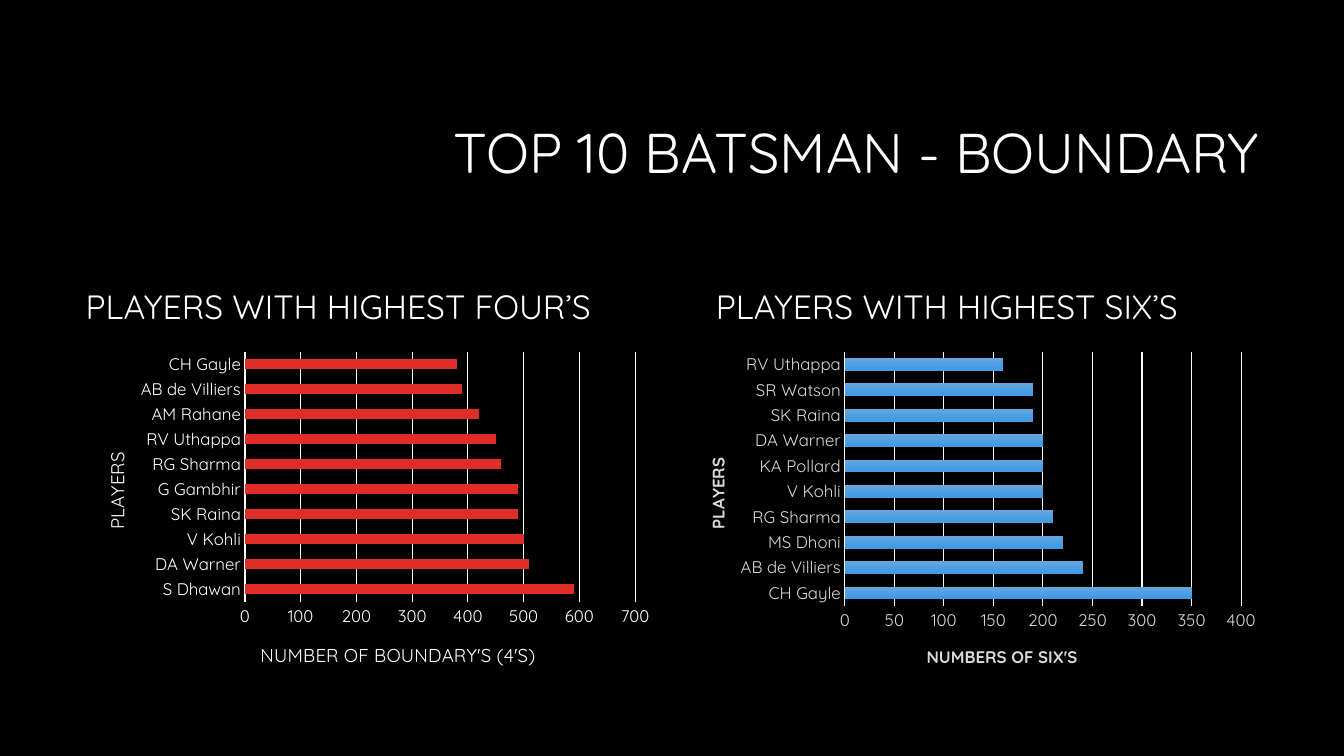
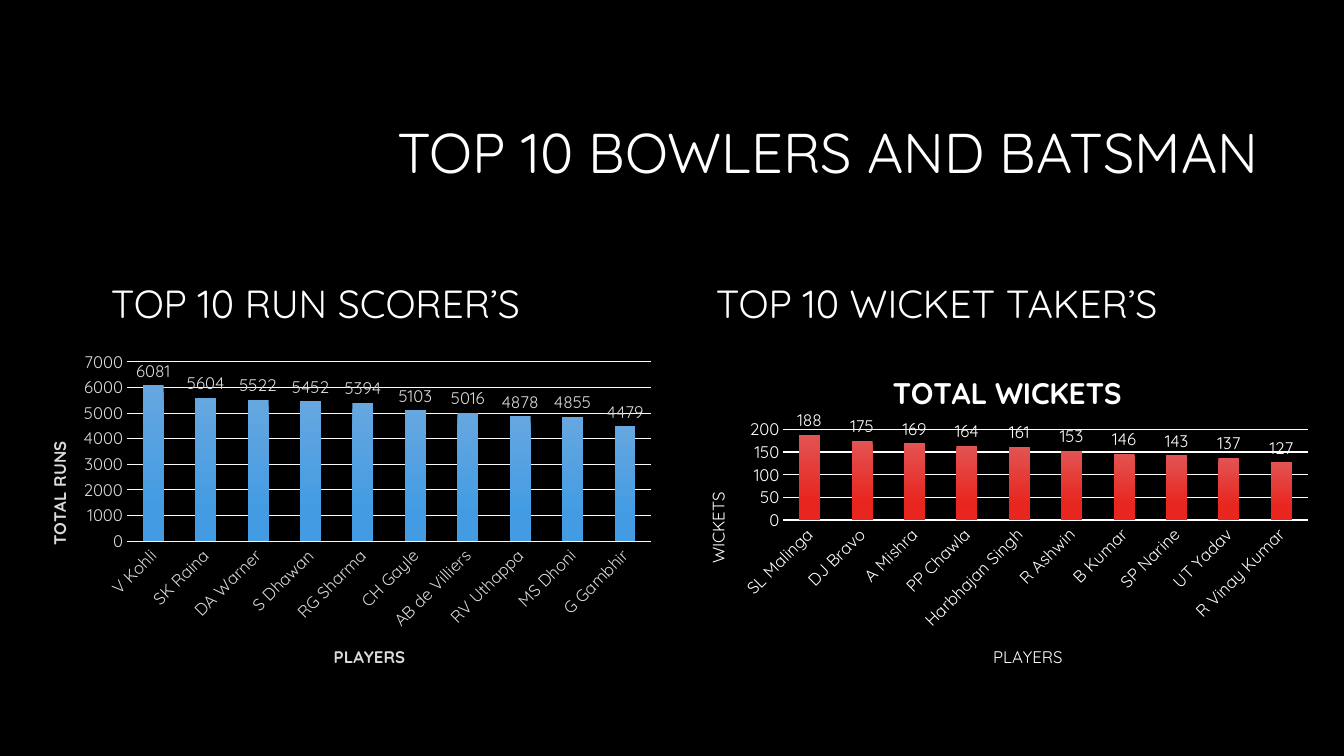
"""Build two slides of cricket rankings, each with a pair of charts."""
from dataclasses import dataclass
from typing import Any, Optional

from lxml.etree import SubElement
from pptx import Presentation
from pptx.chart.chart import Chart
from pptx.chart.data import CategoryChartData
from pptx.dml.color import RGBColor
from pptx.enum.chart import XL_CHART_TYPE as ChartType
from pptx.enum.chart import XL_LABEL_POSITION as LabelPos
from pptx.enum.chart import XL_TICK_MARK as TickMark
from pptx.enum.text import MSO_ANCHOR as Anchor
from pptx.enum.text import PP_ALIGN as Align
from pptx.oxml import parse_xml
from pptx.oxml.ns import nsdecls, qn
from pptx.util import Inches, Pt

Box = tuple[float, float, float, float]
Point = tuple[float, float]


@dataclass(frozen=True)
class Theme:
    font: str = "Quicksand"
    black: str = "000000"
    white: str = "FFFFFF"
    gray: str = "DADADA"
    rule: str = "F9F9F9"
    red: tuple[str, ...] = ("DF2E28",)
    blue_fade: tuple[str, ...] = ("66A7E0", "439CE3")
    red_fade: tuple[str, ...] = ("E25452", "E8251F")
    fade_end: float = 0.78
    title: float = 40
    tick: float = 12
    chart_title: float = 21.3


THEME = Theme()


@dataclass(frozen=True)
class Caption:
    text: str
    at: Point
    bold: bool = False
    size: float = THEME.tick


@dataclass(frozen=True)
class Panel:
    heading: str
    heading_box: Box
    box: Box
    plot: Box
    kind: ChartType
    data: dict[str, int]
    top: int
    step: int
    fill: tuple[str, ...]
    cat_title: Caption
    val_title: Caption
    ink: str = THEME.white
    rule: str = THEME.white
    axis_width: float = 0.75
    gap: int = 150
    title: Optional[Caption] = None


@dataclass(frozen=True)
class Page:
    title: str
    title_box: Box
    heading_size: float
    panels: tuple[Panel, Panel]


PAGES = (
    Page("TOP 10 BATSMAN - BOUNDARY", (0.75, 0.83, 11.84, 1.42), 24, (
        Panel(
            "PLAYERS WITH HIGHEST FOUR’S", (0.75, 2.39, 5.81, 0.9),
            (0.75, 3.43, 5.81, 3.38), (2.43, 3.49, 3.87, 2.48),
            ChartType.BAR_CLUSTERED,
            {"S Dhawan": 590, "DA Warner": 510, "V Kohli": 500,
             "SK Raina": 490, "G Gambhir": 490, "RG Sharma": 460,
             "RV Uthappa": 450, "AM Rahane": 420, "AB de Villiers": 390,
             "CH Gayle": 380},
            700, 100, THEME.red,
            Caption("PLAYERS", (0.99, 4.45), size=13.3),
            Caption("NUMBER OF BOUNDARY'S (4'S)", (2.55, 6.33), size=13.3),
            axis_width=0),
        Panel(
            "PLAYERS WITH HIGHEST SIX’S", (7, 2.39, 5.58, 0.9),
            (6.75, 3.43, 5.83, 3.38), (8.38, 3.49, 3.93, 2.52),
            ChartType.BAR_CLUSTERED,
            {"CH Gayle": 350, "AB de Villiers": 240, "MS Dhoni": 220,
             "RG Sharma": 210, "V Kohli": 200, "KA Pollard": 200,
             "DA Warner": 200, "SK Raina": 190, "SR Watson": 190,
             "RV Uthappa": 160},
            400, 50, THEME.blue_fade,
            Caption("PLAYERS", (6.97, 4.51), True),
            Caption("NUMBERS OF SIX'S", (9.16, 6.37), True),
            ink=THEME.gray, rule=THEME.rule, gap=100),
    )),
    Page("TOP 10 BOWLERS AND BATSMAN", (2.21, 0.83, 10.37, 1.42), 28, (
        Panel(
            "TOP 10 RUN SCORER’S", (1, 2.39, 5.56, 0.9),
            (0.21, 3.43, 6.37, 3.38), (1.26, 3.59, 5.2, 1.78),
            ChartType.COLUMN_CLUSTERED,
            {"V Kohli": 6081, "SK Raina": 5604, "DA Warner": 5522,
             "S Dhawan": 5452, "RG Sharma": 5394, "CH Gayle": 5103,
             "AB de Villiers": 5016, "RV Uthappa": 4878, "MS Dhoni": 4855,
             "G Gambhir": 4479},
            7000, 1000, THEME.blue_fade,
            Caption("PLAYERS", (3.28, 6.37), True),
            Caption("TOTAL RUNS", (0.44, 4.35), True),
            ink=THEME.gray, rule=THEME.rule),
        Panel(
            "TOP 10 WICKET TAKER’S", (7, 2.39, 5.58, 0.9),
            (6.75, 3.43, 6.35, 3.38), (7.77, 4.26, 5.2, 0.9),
            ChartType.COLUMN_CLUSTERED,
            {"SL Malinga": 188, "DJ Bravo": 175, "A Mishra": 169,
             "PP Chawla": 164, "Harbhajan Singh": 161, "R Ashwin": 153,
             "B Kumar": 146, "SP Narine": 143, "UT Yadav": 137,
             "R Vinay Kumar": 127},
            200, 50, THEME.red_fade,
            Caption("PLAYERS", (9.82, 6.37)),
            Caption("WICKETS", (6.97, 4.85)),
            axis_width=1,
            title=Caption("TOTAL WICKETS", (8.8, 3.63), True,
                          THEME.chart_title)),
    )),
)


def assign(obj: Any, values: dict[str, Any]) -> None:
    """Set each named attribute of an object."""
    for name, value in values.items():
        setattr(obj, name, value)


def style(font: Any, size: float, color: str, bold: bool = False) -> None:
    """Format a font in the theme typeface."""
    assign(font, {"name": THEME.font, "size": Pt(size), "bold": bold})
    font.color.rgb = RGBColor.from_string(color)


def fill_placeholder(sp: Any, text: str, box: Box, size: float,
                     align: Align, anchor: Anchor) -> None:
    """Move a placeholder and write its one line of text."""
    assign(sp, dict(zip(("left", "top", "width", "height"), map(Inches, box))))
    tf = sp.text_frame
    assign(tf, {"text": text, "word_wrap": True, "vertical_anchor": anchor})
    p = tf.paragraphs[0]
    assign(p, {"alignment": align, "line_spacing": 0.9, "space_before": Pt(0)})
    style(p.runs[0].font, size, THEME.white)


def set_layout(el: Any, index: int, frame: Box, at: tuple[float, ...]) -> None:
    """Give a chart part a fixed place, from slide inches."""
    for old in el.findall(qn("c:layout")):
        el.remove(old)
    layout = parse_xml(f"<c:layout {nsdecls('c')}><c:manualLayout/></c:layout>")
    left, top, width, height = frame
    shares = {"x": (at[0] - left) / width, "y": (at[1] - top) / height}
    values: dict[str, Any] = {"xMode": "edge", "yMode": "edge"}
    if len(at) == 4:
        values = {"layoutTarget": "inner", **values}
        shares.update(w=at[2] / width, h=at[3] / height)
    for tag, value in {**values, **shares}.items():
        SubElement(layout[0], qn(f"c:{tag}")).set("val", str(value))
    el.insert(index, layout)


def write_caption(title: Any, caption: Caption, panel: Panel,
                  upright: bool = False) -> None:
    """Write and place the title of a chart or an axis."""
    tf = title.text_frame
    tf.text = caption.text
    style(tf.paragraphs[0].runs[0].font, caption.size, panel.ink, caption.bold)
    body = title.element.find(f".//{qn('a:bodyPr')}")
    body.set("rot", "-5400000" if upright else "0")
    body.set("vert", "horz")
    set_layout(title.element, 1, panel.box, caption.at)


def format_axes(chart: Chart, panel: Panel) -> None:
    """Format both axes, their titles and the gridlines."""
    cat, val = chart.category_axis, chart.value_axis
    is_bar = panel.kind == ChartType.BAR_CLUSTERED
    assign(val, {"minimum_scale": 0, "maximum_scale": panel.top,
                 "major_unit": panel.step, "has_major_gridlines": True})
    rule = RGBColor.from_string(panel.rule)
    grid = val.major_gridlines.format.line
    grid.width = Pt(0.75)
    grid.color.rgb = rule
    for axis, caption, upright, width in (
            (cat, panel.cat_title, is_bar, panel.axis_width),
            (val, panel.val_title, not is_bar, 0)):
        assign(axis, {"major_tick_mark": TickMark.NONE,
                      "minor_tick_mark": TickMark.NONE, "has_title": True})
        style(axis.tick_labels.font, THEME.tick, panel.ink)
        write_caption(axis.axis_title, caption, panel, upright)
        line = axis.format.line
        if width:
            line.width = Pt(width)
            line.color.rgb = rule
        else:
            line.fill.background()
    if not is_bar:
        steps = "/".join(map(qn, ("c:catAx", "c:txPr", "a:bodyPr")))
        body = chart.element.find(f".//{steps}")
        body.set("rot", "-2700000")
        body.set("vert", "horz")


def format_bars(chart: Chart, panel: Panel) -> None:
    """Fill the bars and label the columns."""
    plot = chart.plots[0]
    assign(plot, {"gap_width": panel.gap, "vary_by_categories": False})
    fill = plot.series[0].format.fill
    if len(panel.fill) == 1:
        fill.solid()
        fill.fore_color.rgb = RGBColor.from_string(panel.fill[0])
    else:
        fill.gradient()
        fill.gradient_angle = 270
        for stop, color, pos in zip(fill.gradient_stops, panel.fill,
                                    (0, THEME.fade_end)):
            stop.color.rgb = RGBColor.from_string(color)
            stop.position = pos
    if panel.kind == ChartType.COLUMN_CLUSTERED:
        plot.has_data_labels = True
        labels = plot.data_labels
        assign(labels, {"show_value": True, "position": LabelPos.OUTSIDE_END})
        style(labels.font, THEME.tick, panel.ink)


def add_panel_chart(s: Any, panel: Panel) -> None:
    """Add the chart of one panel."""
    data = CategoryChartData()
    data.categories = list(panel.data)
    data.add_series("Series 1", list(panel.data.values()))
    chart = s.shapes.add_chart(panel.kind, *map(Inches, panel.box), data).chart
    assign(chart, {"has_legend": False, "has_title": panel.title is not None})
    style(chart.font, 10, THEME.white)
    chart.element.find(qn("c:chart")).addnext(parse_xml(
        f"<c:spPr {nsdecls('c', 'a')}><a:noFill/>"
        "<a:ln><a:noFill/></a:ln></c:spPr>"))
    if panel.title:
        write_caption(chart.chart_title, panel.title, panel)
    format_axes(chart, panel)
    format_bars(chart, panel)
    set_layout(chart.element.find(f".//{qn('c:plotArea')}"), 0,
               panel.box, panel.plot)


def add_page(prs: Any, page: Page) -> None:
    """Add a slide with its title, headings and charts."""
    s = prs.slides.add_slide(prs.slide_layouts.get_by_name("Comparison"))
    holders = {sp.placeholder_format.idx: sp for sp in s.placeholders}
    fill_placeholder(holders[0], page.title, page.title_box, THEME.title,
                     Align.RIGHT, Anchor.MIDDLE)
    for idx, panel in zip((1, 3), page.panels):
        fill_placeholder(holders[idx], panel.heading, panel.heading_box,
                         page.heading_size, Align.LEFT, Anchor.BOTTOM)
        unused = holders[idx + 1].element
        unused.getparent().remove(unused)
        add_panel_chart(s, panel)


def main() -> None:
    """Build and save the presentation."""
    prs = Presentation()
    assign(prs, {"slide_width": Inches(13.33), "slide_height": Inches(7.5)})
    fill = prs.slide_master.background.fill
    fill.solid()
    fill.fore_color.rgb = RGBColor.from_string(THEME.black)
    for page in PAGES:
        add_page(prs, page)
    prs.save("out.pptx")


if __name__ == "__main__":
    main()
